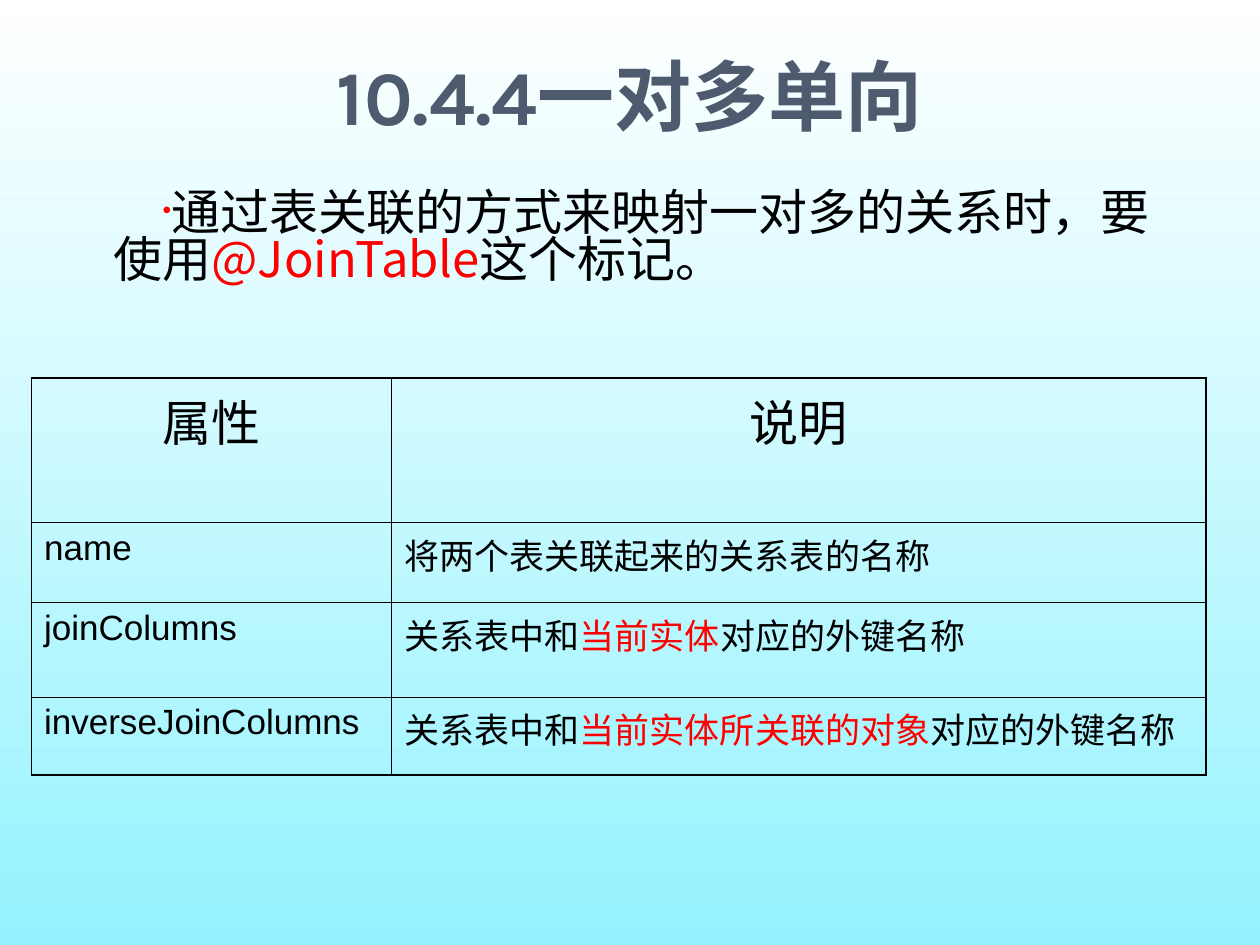
"""Build the slide on one-to-many unidirectional mapping."""

from dataclasses import dataclass
from typing import Any

from lxml.etree import SubElement
from pptx import Presentation
from pptx.dml.color import RGBColor
from pptx.enum.text import MSO_ANCHOR, PP_ALIGN
from pptx.oxml.ns import qn
from pptx.slide import Slide
from pptx.table import _Cell
from pptx.text.text import _Paragraph
from pptx.util import Pt


@dataclass(frozen=True)
class Theme:
    black: str = "000000"
    red: str = "FF0000"
    slate: str = "4E5B6F"
    sky_top: str = "FFFFFF"
    sky_bottom: str = "94F3FF"
    title_font: str = "Karla"
    cjk_font: str = "Noto Sans CJK SC"
    table_font: str = "Arial"
    title_size: float = 44
    body_size: float = 28
    cell_size: float = 20
    inner_line: float = 0.45
    outer_line: float = 1.08


@dataclass(frozen=True)
class Box:
    left: float
    top: float
    width: float
    height: float

    def lengths(self) -> list[Pt]:
        return [Pt(value) for value in (self.left, self.top, self.width, self.height)]


@dataclass(frozen=True)
class Run:
    text: str
    color: str


@dataclass(frozen=True)
class Style:
    font: str
    size: float
    bold: bool = False


THEME = Theme()
TITLE_BOX = Box(24, 18, 672, 72)
BODY_BOX = Box(24, 108, 654, 78)
TABLE_BOX = Box(18, 216, 671, 227)
COLUMN_WIDTHS = (205.9, 465.1)
ROW_HEIGHTS = (82.3, 46, 54, 44.7)


def plain(text: str) -> list[Run]:
    return [Run(text, THEME.black)]


def foreign_key(target: str) -> list[Run]:
    return plain("关系表中和") + [Run(target, THEME.red)] + plain("对应的外键名称")


ROWS = (
    (plain("属性"), plain("说明")),
    (plain("name"), plain("将两个表关联起来的关系表的名称")),
    (plain("joinColumns"), foreign_key("当前实体")),
    (plain("inverseJoinColumns"), foreign_key("当前实体所关联的对象")),
)


def apply_format(target: Any, values: dict[str, Any]) -> None:
    for name, value in values.items():
        setattr(target, name, value)


def write_runs(paragraph: _Paragraph, runs: list[Run], style: Style) -> None:
    for item in runs:
        run = paragraph.add_run()
        run.text = item.text
        apply_format(run.font, {"name": style.font, "size": Pt(style.size), "bold": style.bold})
        run.font.color.rgb = RGBColor.from_string(item.color)
        SubElement(run.font._element, qn("a:ea"), typeface=THEME.cjk_font)


def add_text(slide: Slide, box: Box, runs: list[Run], style: Style,
             frame_format: dict[str, Any], paragraph_format: dict[str, Any]) -> _Paragraph:
    frame = slide.shapes.add_textbox(*box.lengths()).text_frame
    apply_format(frame, {"word_wrap": True, **frame_format})
    paragraph = frame.paragraphs[0]
    apply_format(paragraph, paragraph_format)
    write_runs(paragraph, runs, style)
    return paragraph


def add_bullet(paragraph: _Paragraph, indent: float) -> None:
    properties = paragraph._p.get_or_add_pPr()
    for name, value in {"marL": 0, "indent": Pt(indent)}.items():
        properties.set(name, str(int(value)))
    SubElement(SubElement(properties, qn("a:buClr")), qn("a:srgbClr"), val=THEME.red)
    SubElement(properties, qn("a:buSzPct"), val="50000")
    SubElement(properties, qn("a:buFont"), typeface=THEME.table_font)
    SubElement(properties, qn("a:buChar"), char="•")


def draw_borders(cell: _Cell, outer_sides: dict[str, bool]) -> None:
    properties = cell._tc.get_or_add_tcPr()
    for side, is_outer in outer_sides.items():
        width = THEME.outer_line if is_outer else THEME.inner_line
        line = SubElement(properties, qn(f"a:ln{side}"), w=str(int(Pt(width))))
        SubElement(SubElement(line, qn("a:solidFill")), qn("a:srgbClr"), val=THEME.black)


def add_attribute_table(slide: Slide) -> None:
    last_row, last_column = len(ROWS) - 1, len(COLUMN_WIDTHS) - 1
    table = slide.shapes.add_table(len(ROWS), len(COLUMN_WIDTHS), *TABLE_BOX.lengths()).table
    apply_format(table, {"first_row": False, "horz_banding": False})
    for column, width in zip(table.columns, COLUMN_WIDTHS):
        column.width = Pt(width)
    for row_index, (row, height) in enumerate(zip(table.rows, ROW_HEIGHTS)):
        row.height = Pt(height)
        is_header = row_index == 0
        style = Style(THEME.table_font, THEME.body_size if is_header else THEME.cell_size)
        for column_index, cell in enumerate(row.cells):
            draw_borders(cell, {"L": column_index == 0, "R": column_index == last_column,
                                "T": is_header, "B": row_index == last_row})
            cell.fill.background()
            paragraph = cell.text_frame.paragraphs[0]
            paragraph.alignment = PP_ALIGN.CENTER if is_header else PP_ALIGN.LEFT
            write_runs(paragraph, ROWS[row_index][column_index], style)


def paint_background(slide: Slide) -> None:
    fill = slide.background.fill
    fill.gradient()
    fill.gradient_angle = 270
    for stop, position, color in zip(fill.gradient_stops, (0, 1), (THEME.sky_top, THEME.sky_bottom)):
        stop.position = position
        stop.color.rgb = RGBColor.from_string(color)


def main() -> None:
    presentation = Presentation()
    apply_format(presentation, {"slide_width": Pt(720), "slide_height": Pt(540)})
    slide = presentation.slides.add_slide(presentation.slide_layouts[6])
    paint_background(slide)
    add_text(slide, TITLE_BOX, [Run("10.4.4一对多单向", THEME.slate)],
             Style(THEME.title_font, THEME.title_size, True),
             {"vertical_anchor": MSO_ANCHOR.MIDDLE}, {"alignment": PP_ALIGN.CENTER})
    body = add_text(
        slide, BODY_BOX,
        plain("通过表关联的方式来映射一对多的关系时，要使用")
        + [Run("@JoinTable", THEME.red)] + plain("这个标记。"),
        Style(THEME.cjk_font, THEME.body_size),
        {"margin_left": Pt(41), "margin_top": Pt(2)}, {"line_spacing": 0.8})
    add_bullet(body, 28)
    add_attribute_table(slide)
    presentation.save("out.pptx")


if __name__ == "__main__":
    main()
